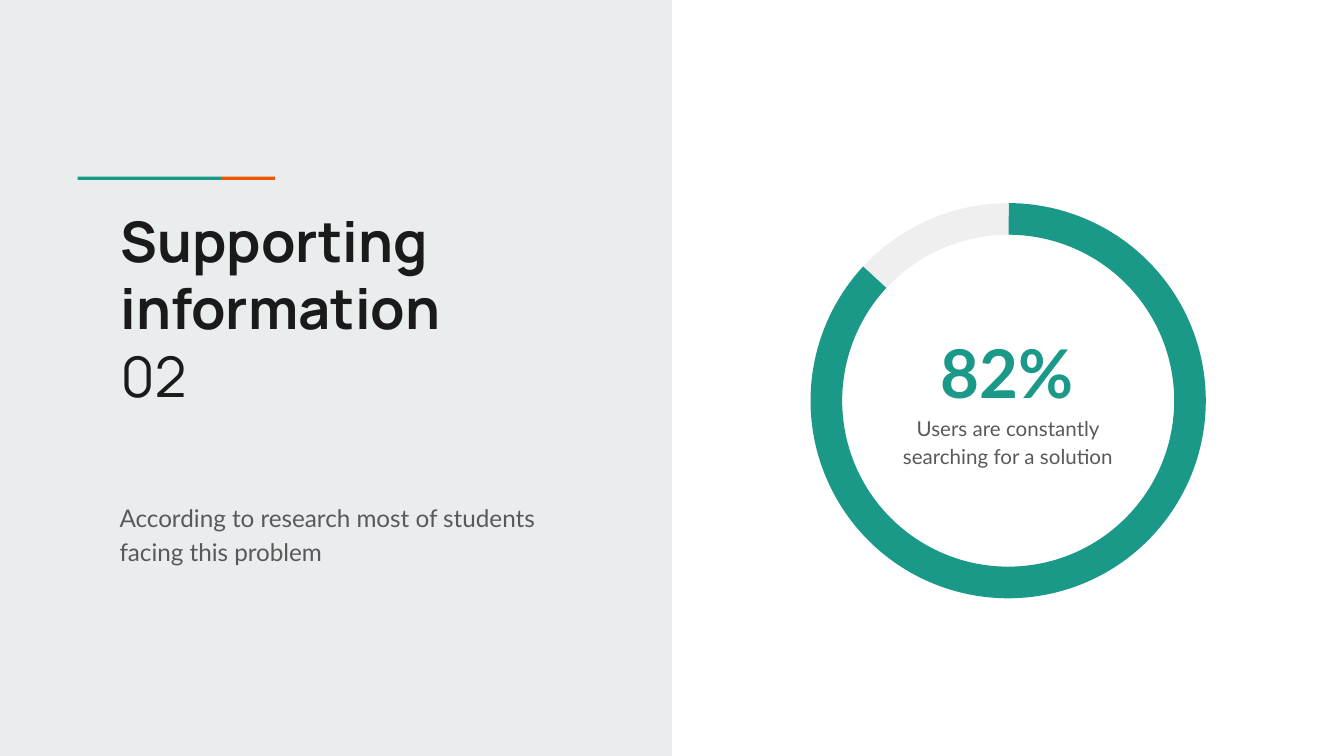
from pptx import Presentation
from pptx.dml.color import RGBColor
from pptx.enum.shapes import MSO_SHAPE as SHAPE
from pptx.enum.text import MSO_ANCHOR as ANCHOR, PP_ALIGN as ALIGN
from pptx.util import Cm, Pt

COLORS = {
    "panel": "E9EDEE", "teal": "1A9988", "orange": "EB5600",
    "track": "EFEFEF", "title": "1A1A1A", "body": "595959",
}

prs = Presentation()
prs.slide_width, prs.slide_height = Cm(25.4), Cm(14.29)
s = prs.slides.add_slide(prs.slide_layouts[6])


def add_filled(kind, box, color):
    sp = s.shapes.add_shape(kind, *map(Cm, box))
    sp.shadow.inherit = False
    sp.fill.solid()
    sp.fill.fore_color.rgb = RGBColor.from_string(COLORS[color])
    sp.line.fill.background()
    return sp


def add_text(box, lines, color, font, para):
    tf = s.shapes.add_textbox(*map(Cm, box)).text_frame
    tf.word_wrap = True
    tf.vertical_anchor = ANCHOR.TOP
    for side in ("left", "top", "right", "bottom"):
        setattr(tf, f"margin_{side}", Cm(0.25))
    for i, (text, bold) in enumerate(lines):
        p = tf.add_paragraph() if i else tf.paragraphs[0]
        for name, value in para.items():
            setattr(p, name, value)
        r = p.add_run()
        r.text = text
        for name, value in {**font, "bold": bold}.items():
            setattr(r.font, name, value)
        r.font.color.rgb = RGBColor.from_string(COLORS[color])


# Left panel and two-colour accent line
add_filled(SHAPE.RECTANGLE, (0, 0, 12.7, 14.29), "panel")
add_filled(SHAPE.RECTANGLE, (1.47, 3.34, 2.71, 0.06), "teal")
add_filled(SHAPE.RECTANGLE, (4.18, 3.34, 1.02, 0.06), "orange")

# Progress ring: start and end angles in degrees, then rotation
for start, end, rotation, color in [
    (43.8, 98, 176.5, "track"),
    (270.18, 222.79, 0, "teal"),
]:
    sp = add_filled(SHAPE.BLOCK_ARC, (15.32, 3.84, 7.47, 7.47), color)
    sp.rotation = rotation
    # An angle is stored in 1/60000 degree, an adjustment in 1/100000
    sp.adjustments[0] = start * 0.6
    sp.adjustments[1] = end * 0.6
    sp.adjustments[2] = 0.08

# Title and subtitle
add_text((2.03, 3.66, 9.17, 4.7),
         [("Supporting information", True), ("02", False)], "title",
         {"name": "Manrope", "size": Pt(30)}, {})
add_text((2.01, 9.19, 8.53, 2.11),
         [("According to research most of students facing this problem", False)],
         "body", {"name": "Lato", "size": Pt(13)},
         {"line_spacing": 1.15, "space_after": Pt(10)})

# Figure and caption inside the ring
add_text((16.76, 5.79, 4.55, 1.78), [("82%", True)], "teal",
         {"name": "Lato", "size": Pt(36)},
         {"line_spacing": 1.15, "alignment": ALIGN.CENTER})
add_text((16.33, 7.54, 5.44, 2.11),
         [("Users are constantly searching for a solution", False)], "body",
         {"name": "Lato", "size": Pt(11)},
         {"line_spacing": 1.15, "space_after": Pt(16),
          "alignment": ALIGN.CENTER})

prs.save("out.pptx")
